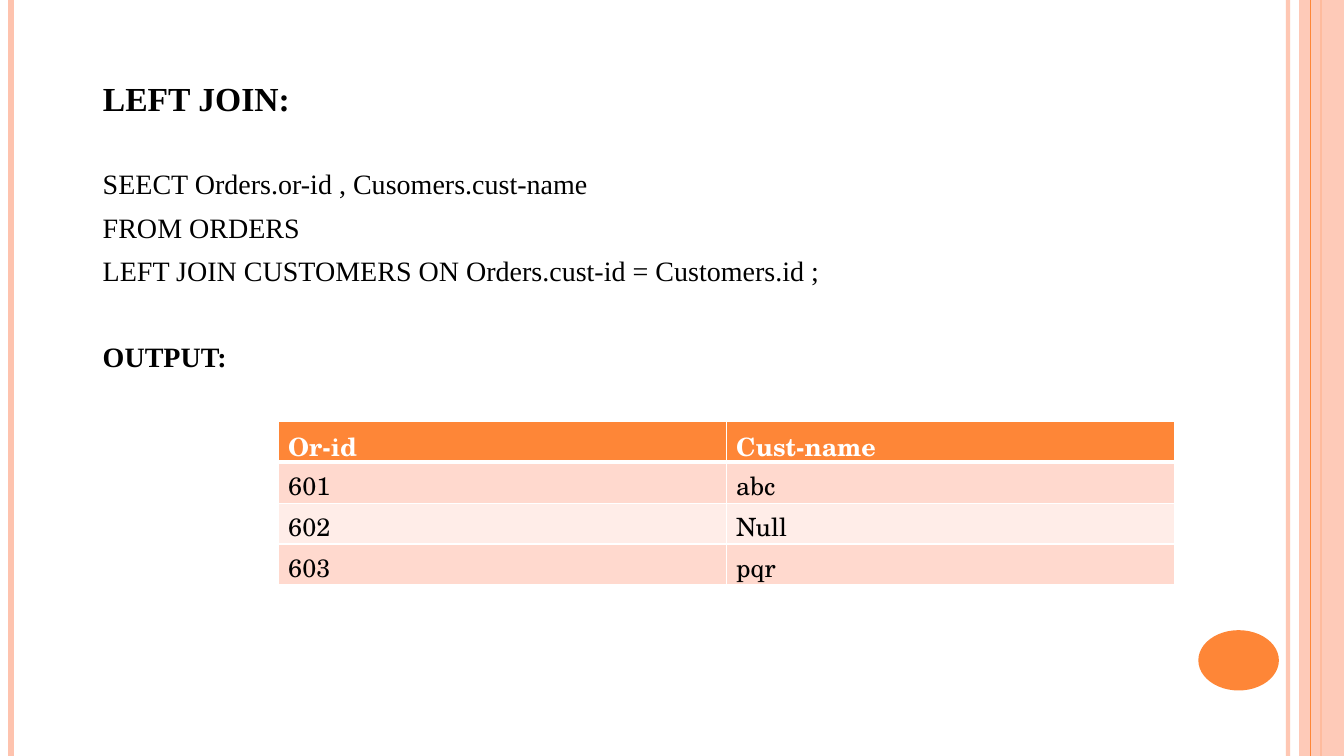
from lxml import etree
from pptx import Presentation
from pptx import util as u
from pptx.dml.color import RGBColor
from pptx.enum import shapes, text
from pptx.oxml import ns

COLORS = {
    "orange": "FE8637", "peach": "FEC3AE", "white": "FFFFFF", "black": "000000",
    "band_dark": "FFD9CE", "band_light": "FFEDE8",
}
SERIF = "Times New Roman"
SCHOOL = "TeX Gyre Schola"

# Query lines: text, bold, space before in points
QUERY = [
    ("SEECT Orders.or-id , Cusomers.cust-name", False, 0),
    ("FROM ORDERS", False, 7),
    ("LEFT JOIN CUSTOMERS ON Orders.cust-id = Customers.id ;", False, 7),
    ("OUTPUT:", True, 37),
]
ROWS = [("Or-id", "Cust-name"), ("601", "abc"), ("602", "Null"), ("603", "pqr")]


def rgb(name):
    return RGBColor.from_string(COLORS[name])


def add_child(parent, tag, **attributes):
    return etree.SubElement(parent, ns.qn(tag), **attributes)


def set_alpha(fill_format_parent, percent):
    color = fill_format_parent.find(".//" + ns.qn("a:srgbClr"))
    add_child(color, "a:alpha", val=str(percent * 1000))


def format_text(paragraph, font, size, color, bold):
    for run in paragraph.runs:
        run.font.name = font
        run.font.size = u.Pt(size)
        run.font.color.rgb = rgb(color)
        run.font.bold = bold


def add_rail(slide, x, height, color, width, alpha=None):
    rail = slide.shapes.add_connector(
        shapes.MSO_CONNECTOR.STRAIGHT, u.Cm(x), 0, u.Cm(x), u.Cm(height))
    rail.line.color.rgb = rgb(color)
    rail.line.width = u.Pt(width)
    if alpha:
        set_alpha(rail.line._ln, alpha)
    add_child(rail._element.spPr, "a:effectLst")


def add_panel(slide, kind, left, top, width, height, color):
    panel = slide.shapes.add_shape(
        kind, u.Cm(left), u.Cm(top), u.Cm(width), u.Cm(height))
    panel.shadow.inherit = False
    panel.fill.solid()
    panel.fill.fore_color.rgb = rgb(color)
    panel.line.fill.background()
    return panel


def add_frame(slide, width, height):
    """Vertical rails, right band and page disc."""
    add_rail(slide, width - 1.41, height, "peach", 3, 93)
    add_rail(slide, 0.28, height, "peach", 4.5)
    add_rail(slide, width - 0.57, height, "orange", 1.5)
    band = add_panel(slide, shapes.MSO_SHAPE.RECTANGLE,
                     width - 1.13, 0, 1.13, height, "peach")
    set_alpha(band._element.spPr, 87)
    add_rail(slide, width - 0.85, height, "orange", 0.75)
    add_panel(slide, shapes.MSO_SHAPE.OVAL,
              width - 3.67, height - 3.17, 2.03, 1.52, "orange")


def place_title(slide, left, top, width, height):
    title = slide.shapes.title
    title.left, title.top = u.Cm(left), u.Cm(top)
    title.width, title.height = u.Cm(width), u.Cm(height)
    frame = title.text_frame
    frame.text = "LEFT JOIN:"
    frame.vertical_anchor = text.MSO_ANCHOR.TOP
    frame.auto_size = text.MSO_AUTO_SIZE.NONE
    paragraph = frame.paragraphs[0]
    paragraph.alignment = text.PP_ALIGN.LEFT
    paragraph.line_spacing = 1.0
    paragraph.space_before = u.Pt(0)
    format_text(paragraph, SERIF, 24, "black", True)


def add_query(slide, left, top, width, height):
    frame = slide.shapes.add_textbox(
        u.Cm(left), u.Cm(top), u.Cm(width), u.Cm(height)).text_frame
    frame.word_wrap = True
    for index, (line, bold, gap) in enumerate(QUERY):
        paragraph = frame.add_paragraph() if index else frame.paragraphs[0]
        paragraph.text = line
        paragraph.space_before = u.Pt(gap)
        format_text(paragraph, SERIF, 20, "black", bold)


def set_borders(cell, widths):
    properties = cell._tc.get_or_add_tcPr()
    for position, (side, width) in enumerate(widths.items()):
        border = etree.Element(ns.qn("a:ln" + side), w=str(u.Pt(width)))
        fill = add_child(border, "a:solidFill")
        add_child(fill, "a:srgbClr", val=COLORS["white"])
        properties.insert(position, border)


def add_result(slide, left, top, width, height):
    table = slide.shapes.add_table(
        len(ROWS), len(ROWS[0]),
        u.Cm(left), u.Cm(top), u.Cm(width), u.Cm(height)).table
    for r, values in enumerate(ROWS):
        header = r == 0
        fill = "orange" if header else ("band_light", "band_dark")[r % 2]
        for c, value in enumerate(values):
            cell = table.cell(r, c)
            cell.text = value
            cell.fill.solid()
            cell.fill.fore_color.rgb = rgb(fill)
            format_text(cell.text_frame.paragraphs[0], SCHOOL, 18,
                        "white" if header else "black", header)
            set_borders(cell, {"L": 1, "R": 1, "T": 3 if r == 1 else 1,
                               "B": 3 if header else 1})


def main():
    width, height = 33.87, 19.05
    presentation = Presentation()
    presentation.slide_width = u.Cm(width)
    presentation.slide_height = u.Cm(height)
    slide = presentation.slides.add_slide(presentation.slide_layouts[5])
    add_frame(slide, width, height)
    place_title(slide, 2.34, 1.84, 29.2, 1.5)
    add_query(slide, 2.34, 4.08, 29.2, 5.6)
    add_result(slide, 7.01, 10.62, 22.58, 4.12)
    presentation.save("out.pptx")


if __name__ == "__main__":
    main()
